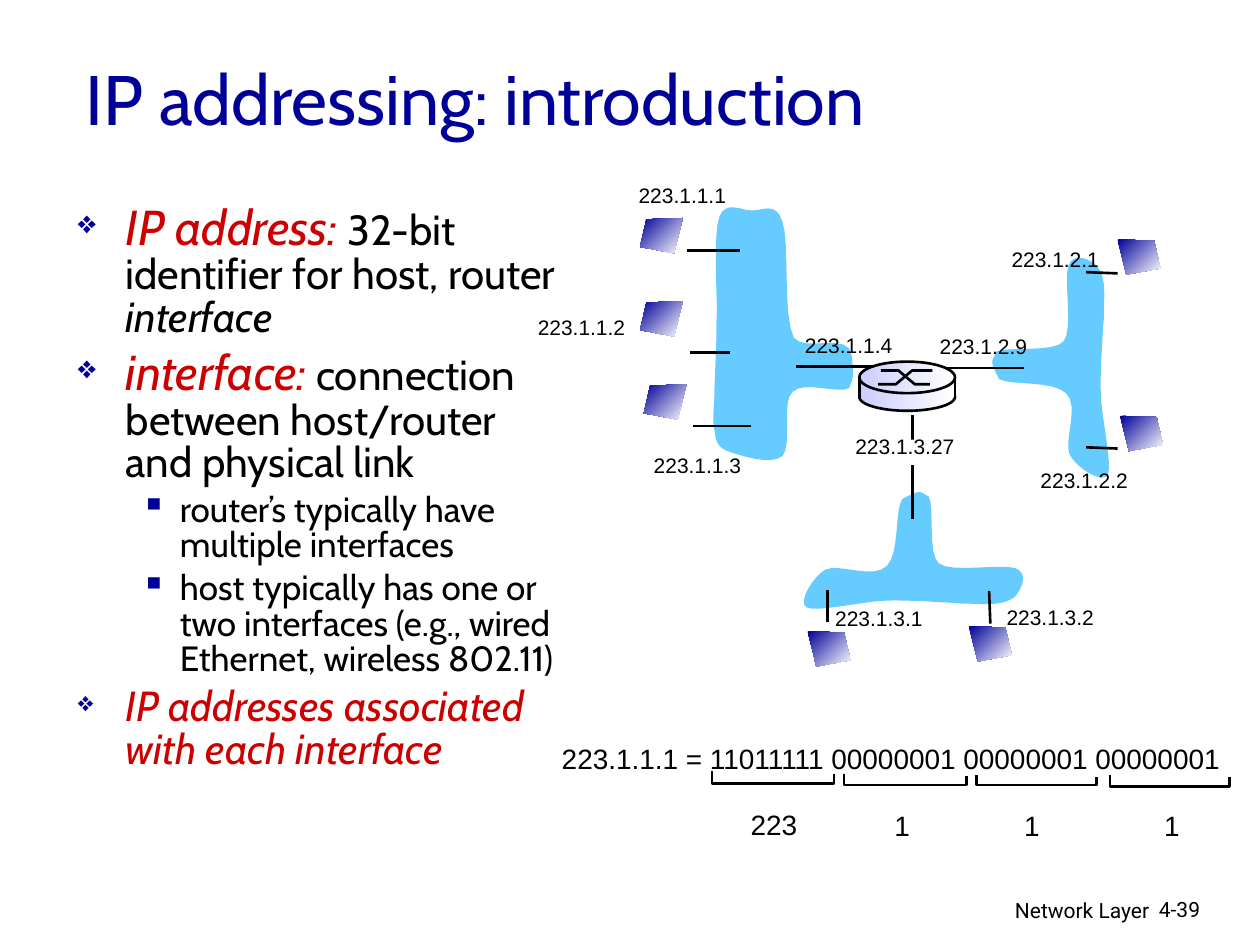
from pptx import Presentation
from pptx.dml.color import RGBColor
from pptx.enum.shapes import MSO_CONNECTOR as CONN, MSO_SHAPE as SHAPE
from pptx.enum.text import MSO_ANCHOR as ANCHOR, PP_ALIGN as ALIGN
from pptx.oxml.ns import qn
from pptx.util import Inches, Pt
from lxml import etree

rgb = RGBColor.from_string
BLACK, WHITE, NAVY, RED, SKY, LILAC = "000000", "FFFFFF", "000099", "CC0000", "66CCFF", "CCCCFF"


def paint(sp, fill=None, line=None, angle=0):
    sp.shadow.inherit = False
    if isinstance(fill, tuple):
        sp.fill.gradient()
        sp.fill.gradient_angle = 360 - angle
        for stop, c in zip(sp.fill.gradient_stops, fill):
            stop.color.rgb = rgb(c)
    elif fill:
        sp.fill.solid()
        sp.fill.fore_color.rgb = rgb(fill)
    else:
        sp.fill.background()
    if line:
        sp.line.color.rgb = rgb(line)
        sp.line.width = Pt(1.5)
    else:
        sp.line.fill.background()


def add_runs(p, runs):
    for words, fmt in runs:
        r = p.add_run()
        r.text = words
        r.font.color.rgb = rgb(fmt.get("color", BLACK))
        for name, value in fmt.items():
            if name != "color":
                setattr(r.font, name, value)


prs = Presentation()
prs.slide_width, prs.slide_height = Inches(10), Inches(7.5)
s = prs.slides.add_slide(prs.slide_layouts[5])
shapes = s.shapes

title = shapes.title
title.left, title.top, title.width, title.height = (Inches(v) for v in (0.58, 0.25, 8.5, 1.04))
title.text_frame.vertical_anchor = ANCHOR.MIDDLE
p = title.text_frame.paragraphs[0]
p.alignment = ALIGN.LEFT
add_runs(p, [("IP addressing: introduction", {"name": "Cabin", "size": Pt(40), "color": NAVY})])

term = {"name": "Cabin", "size": Pt(28), "italic": True, "color": RED}
plain = {"name": "Cabin", "size": Pt(24)}
small = {"name": "Cabin", "size": Pt(20)}
body = [
    (0, 0, [("IP address:", term), (" 32-bit identifier for host, router ", plain),
            ("interface", {**plain, "italic": True})]),
    (0, 5.6, [("interface:", term), (" connection between host/router and physical link", plain)]),
    (1, 4, [("router’s typically have multiple interfaces", small)]),
    (1, 4, [("host typically has one or two interfaces (e.g., wired Ethernet, wireless 802.11)", small)]),
    (0, 4.8, [("IP addresses associated with each interface", {**term, "size": Pt(24)})]),
]
levels = [(0.38, 0.38, 65, "❖"), (0.81, 0.31, 100, "▪")]
tf = shapes.add_textbox(Inches(0.52), Inches(1.58), Inches(4.04), Inches(5.08)).text_frame
tf.word_wrap = True
for i, (level, before, runs) in enumerate(body):
    p = tf.add_paragraph() if i else tf.paragraphs[0]
    margin, hang, size, char = levels[level]
    p.level, p.line_spacing, p.space_before = level, 0.85, Pt(before)
    pPr = p._p.get_or_add_pPr()
    pPr.set("marL", str(Inches(margin)))
    pPr.set("indent", str(-Inches(hang)))
    color = etree.SubElement(pPr, qn("a:buClr"))
    etree.SubElement(color, qn("a:srgbClr"), val=NAVY)
    etree.SubElement(pPr, qn("a:buSzPct"), val=str(size * 1000))
    etree.SubElement(pPr, qn("a:buChar"), char=char)
    add_runs(p, runs)

subnets = [
    ((7.16, 3.96), [
        (7.1, 4.05, 7.14, 4.39, 7.04, 4.49), (6.94, 4.6, 6.66, 4.47, 6.55, 4.52),
        (6.45, 4.58, 6.33, 4.78, 6.4, 4.82), (6.47, 4.86, 6.83, 4.78, 6.98, 4.77),
        (7.13, 4.76, 7.21, 4.77, 7.32, 4.77), (7.43, 4.78, 7.53, 4.78, 7.63, 4.79),
        (7.72, 4.79, 7.84, 4.8, 7.91, 4.79), (7.99, 4.78, 8.06, 4.75, 8.08, 4.7),
        (8.11, 4.66, 8.16, 4.55, 8.06, 4.51), (7.95, 4.47, 7.54, 4.55, 7.45, 4.47),
        (7.36, 4.4, 7.42, 4.01, 7.37, 3.94), (7.29, 3.9, 7.32, 3.88, 7.16, 3.96)]),
    ((7.93, 3.01), [
        (8.02, 3.06, 8.36, 3.02, 8.46, 3.12), (8.57, 3.22, 8.44, 3.5, 8.49, 3.61),
        (8.55, 3.72, 8.75, 3.84, 8.79, 3.77), (8.83, 3.7, 8.75, 3.34, 8.74, 3.18),
        (8.73, 3.03, 8.74, 2.95, 8.74, 2.85), (8.75, 2.74, 8.75, 2.63, 8.76, 2.54),
        (8.76, 2.44, 8.77, 2.33, 8.76, 2.25), (8.75, 2.18, 8.72, 2.11, 8.67, 2.08),
        (8.63, 2.06, 8.52, 2, 8.48, 2.11), (8.44, 2.21, 8.52, 2.63, 8.44, 2.71),
        (8.37, 2.8, 7.98, 2.75, 7.91, 2.79), (7.87, 2.88, 7.85, 2.85, 7.93, 3.01)]),
    ((6.76, 2.82), [
        (6.74, 2.63, 6.39, 2.8, 6.3, 2.68), (6.21, 2.5, 6.27, 1.92, 6.21, 1.76),
        (6.16, 1.59, 6.04, 1.68, 5.96, 1.67), (5.88, 1.67, 5.76, 1.59, 5.71, 1.72),
        (5.66, 1.86, 5.69, 2.3, 5.69, 2.48), (5.68, 2.66, 5.69, 2.71, 5.68, 2.81),
        (5.68, 2.92, 5.67, 3.03, 5.67, 3.12), (5.67, 3.22, 5.65, 3.33, 5.67, 3.41),
        (5.68, 3.48, 5.68, 3.54, 5.77, 3.58), (5.86, 3.61, 6.12, 3.7, 6.21, 3.62),
        (6.29, 3.54, 6.2, 3.19, 6.29, 3.11), (6.38, 3.02, 6.66, 3.13, 6.74, 3.08),
        (6.77, 3, 6.78, 3.01, 6.76, 2.82)]),
]
STEPS = 8
outlines = []
for start, curves in subnets:
    pts = [start]
    for ax, ay, bx, by, cx, cy in curves:
        x, y = pts[-1]
        for k in range(1, STEPS + 1):
            t = k / STEPS
            u = 1 - t
            w = (u ** 3, 3 * u * u * t, 3 * u * t * t, t ** 3)
            pts.append((sum(a * b for a, b in zip(w, (x, ax, bx, cx))),
                        sum(a * b for a, b in zip(w, (y, ay, by, cy)))))
    outlines.append((pts, SKY, None))

router = [
    (SHAPE.OVAL, 3.04, 0.22, BLACK),
    (SHAPE.RECTANGLE, 3.02, 0.13, None),
    (SHAPE.OVAL, 2.87, 0.25, BLACK),
]
router_marks = [
    [(6.97, 3.05), (7.11, 3.05), (7.24, 2.94), (7.4, 2.94)],
    [(6.99, 2.94), (7.13, 2.94), (7.26, 3.05), (7.38, 3.05)],
]
links = [
    (6.82, 2.99, 6.82, 3.16), (7.58, 3, 7.58, 3.16),
    (5.45, 1.99, 5.87, 1.99), (5.48, 2.8, 5.79, 2.8), (5.5, 3.38, 5.96, 3.38),
    (6.32, 2.91, 6.94, 2.91), (7.5, 2.92, 8.13, 2.92),
    (8.62, 2.16, 8.87, 2.17), (8.62, 3.55, 8.87, 3.56),
    (7.24, 3.29, 7.24, 4.12), (6.57, 4.94, 6.57, 4.68), (7.86, 4.95, 7.85, 4.69),
]
label_masks = [(4.27, 2.54, 0.91, 0.2), (6.78, 3.49, 0.93, 0.2)]
brackets = [(5.65, 6.12, 0.97, 0.1), (6.7, 6.14, 0.97, 0.09),
            (7.75, 6.15, 0.95, 0.08), (8.81, 6.15, 0.95, 0.09)]
hosts = [(5.08, 1.73, True), (5.08, 2.39, True), (5.11, 3.05, True),
         (8.87, 1.9, False), (8.89, 3.3, False), (7.69, 4.97, False), (6.41, 5.01, False)]
screen = [(0, 0), (0.29, 0.01), (0.34, 0.23), (0.07, 0.28)]

for pts, fill, line in outlines:
    fb = shapes.build_freeform(Inches(pts[0][0]), Inches(pts[0][1]))
    fb.add_line_segments([(Inches(x), Inches(y)) for x, y in pts[1:]], close=True)
    paint(fb.convert_to_shape(), fill, line)

for kind, y, h, line in router:
    sp = shapes.add_shape(kind, Inches(6.82), Inches(y), Inches(0.76), Inches(h))
    paint(sp, (LILAC, WHITE), line)

for ends in links:
    c = shapes.add_connector(CONN.STRAIGHT, *(Inches(v) for v in ends))
    c.line.color.rgb = rgb(BLACK)
    c.line.width = Pt(1.5)
    etree.SubElement(c._element.spPr, qn("a:effectLst"))

for box in label_masks:
    paint(shapes.add_shape(SHAPE.RECTANGLE, *(Inches(v) for v in box)), WHITE)

polylines = [(pts, False, None, BLACK) for pts in router_marks]
for x, y, w, h in brackets:
    pts = [(x, y), (x, y + h), (x + w, y + h), (x + w, y + 0.02)]
    polylines.append((pts, False, None, BLACK))
for x, y, mirrored in hosts:
    pts = [(x + (0.34 - dx if mirrored else dx), y + dy) for dx, dy in screen]
    polylines.append((pts, True, (NAVY, WHITE), None))
for pts, closed, fill, line in polylines:
    fb = shapes.build_freeform(Inches(pts[0][0]), Inches(pts[0][1]))
    fb.add_line_segments([(Inches(x), Inches(y)) for x, y in pts[1:]], close=closed)
    paint(fb.convert_to_shape(), fill, line, 45)

addresses = [
    (4.97, 1.4, "223.1.1.1"), (4.17, 2.45, "223.1.1.2"), (5.09, 3.54, "223.1.1.3"),
    (6.29, 2.59, "223.1.1.4"), (7.36, 2.6, "223.1.2.9"), (8.16, 3.66, "223.1.2.2"),
    (7.93, 1.91, "223.1.2.1"), (7.89, 4.75, "223.1.3.2"), (6.53, 4.76, "223.1.3.1"),
]
labels = [(x, y, 0.9, 0.3, words, 12, "Arial", ALIGN.LEFT) for x, y, words in addresses]
labels += [
    (6.69, 3.39, 1, 0.3, "223.1.3.27", 12, "Arial", ALIGN.LEFT),
    (4.36, 5.84, 5.52, 0.37, "223.1.1.1 = 11011111 00000001 00000001 00000001", 16, "Arial", ALIGN.LEFT),
    (5.86, 6.36, 0.57, 0.37, "223", 16, "Arial", ALIGN.LEFT),
    (6.05, 7.07, 3.17, 0.31, "Network Layer", 12, "Roboto", ALIGN.RIGHT),
    (9.1, 7.07, 0.74, 0.3, "4-39", 12, "Roboto", ALIGN.LEFT),
]
labels += [(x, 6.37, 0.32, 0.37, "1", 16, "Arial", ALIGN.LEFT) for x in (7, 8.03, 9.14)]
for x, y, w, h, words, size, font, align in labels:
    tf = shapes.add_textbox(Inches(x), Inches(y), Inches(w), Inches(h)).text_frame
    tf.word_wrap = font == "Roboto"
    p = tf.paragraphs[0]
    p.alignment = align
    add_runs(p, [(words, {"name": font, "size": Pt(size)})])

prs.save("out.pptx")
